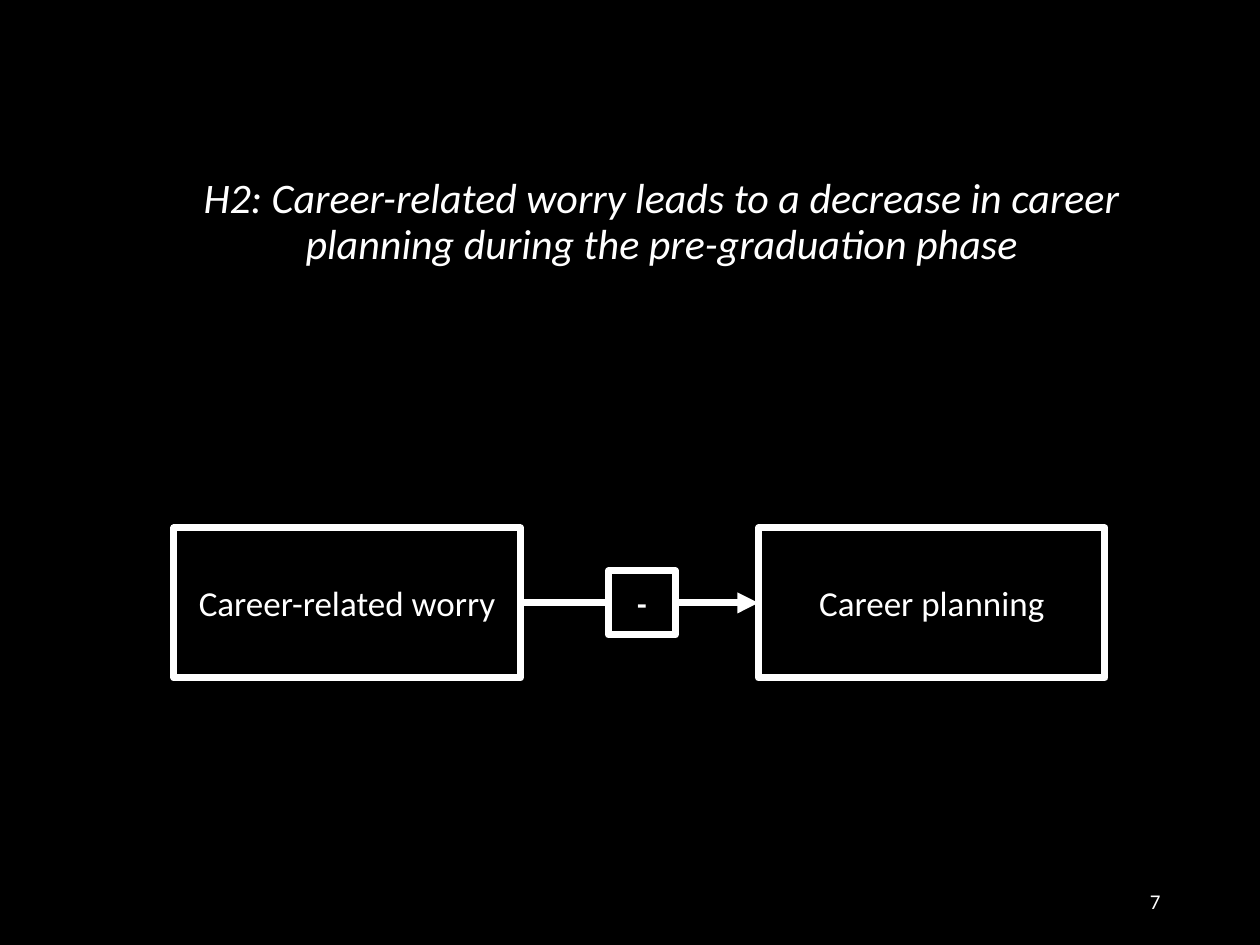
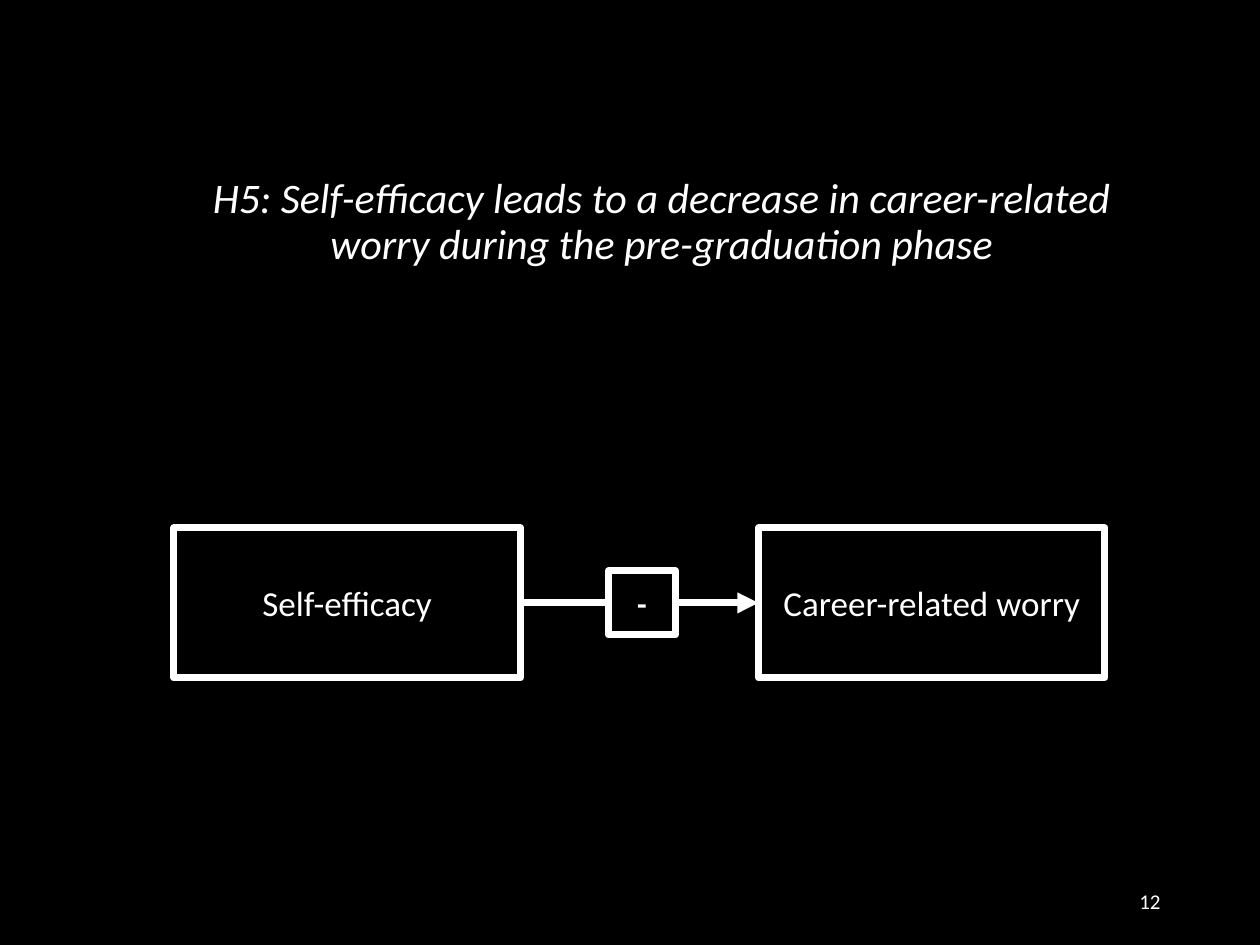
import pptx
import pptx.dml.color
import pptx.enum.shapes
import pptx.enum.text
import pptx.oxml.ns
import pptx.util
from lxml import etree
from pptx.util import Inches

FONT = "Calibri"
BLACK = "000000"
WHITE = "FFFFFF"
LINE_WIDTH = pptx.util.Pt(4)
TITLE_ONLY = 5
ALIGN = pptx.enum.text.PP_ALIGN
ANCHOR = pptx.enum.text.MSO_ANCHOR

TITLE_BOX = (1.19, 1.36, 8.12, 0.9)
DIAGRAM_BOX = (1.38, 4.19, 7.39, 1.19)
NUMBER_BOX = (7.06, 6.95, 2.25, 0.4)
CONCEPT_WIDTH = 2.75
SIGN_LEFT, SIGN_WIDTH, SIGN_HEIGHT = 3.45, 0.53, 0.51

HYPOTHESES = [
    ("H2: Career-related worry leads to a decrease in career planning during the pre-graduation phase",
     "Career-related worry", "Career planning", "-", "7"),
    ("H5: Self-efficacy leads to a decrease in career-related worry during the pre-graduation phase",
     "Self-efficacy", "Career-related worry", "-", "12"),
]


def colour(hex_string):
    """Turn a hex string into a colour."""
    return pptx.dml.color.RGBColor.from_string(hex_string)


def write_text(shape, text, size, align=ALIGN.CENTER, anchor=ANCHOR.MIDDLE, bold=False, italic=False):
    """Put one formatted white paragraph into a shape and return it."""
    frame = shape.text_frame
    frame.text = text
    frame.word_wrap = True
    frame.auto_size = pptx.enum.text.MSO_AUTO_SIZE.NONE
    frame.vertical_anchor = anchor
    paragraph = frame.paragraphs[0]
    paragraph.alignment = align
    font = paragraph.font
    font.name = FONT
    font.size = pptx.util.Pt(size)
    font.bold = bold
    font.italic = italic
    font.color.rgb = colour(WHITE)
    return paragraph


def add_title(slide, text, box):
    """Place the hypothesis in the title placeholder."""
    title = slide.shapes.title
    title.left, title.top, title.width, title.height = map(Inches, box)
    paragraph = write_text(title, text, 24, anchor=ANCHOR.TOP, italic=True)
    paragraph.line_spacing = 0.9


def add_framed_box(slide, text, box, size=20, bold=False):
    """Add a black rectangle with a white frame and centred text."""
    shape = slide.shapes.add_shape(pptx.enum.shapes.MSO_SHAPE.RECTANGLE, *map(Inches, box))
    shape.shadow.inherit = False
    shape.fill.solid()
    shape.fill.fore_color.rgb = colour(BLACK)
    shape.line.color.rgb = colour(WHITE)
    shape.line.width = LINE_WIDTH
    write_text(shape, text, size, bold=bold)
    return shape


def add_arrow(slide, start, end):
    """Join the right side of one box to the left side of another with an arrow."""
    arrow = slide.shapes.add_connector(pptx.enum.shapes.MSO_CONNECTOR.STRAIGHT, 0, 0, 0, 0)
    arrow.begin_connect(start, 3)
    arrow.end_connect(end, 1)
    arrow.line.color.rgb = colour(WHITE)
    arrow.line.width = LINE_WIDTH
    qualified = pptx.oxml.ns.qn
    etree.SubElement(arrow.line._get_or_add_ln(), qualified("a:tailEnd"), type="triangle")
    etree.SubElement(arrow._element.spPr, qualified("a:effectLst"))


def add_diagram(slide, cause, effect, sign, box):
    """Draw cause and effect, the arrow between them and its sign."""
    left, top, width, height = box
    cause_box = add_framed_box(slide, cause, (left, top, CONCEPT_WIDTH, height))
    effect_left = left + width - CONCEPT_WIDTH
    effect_box = add_framed_box(slide, effect, (effect_left, top, CONCEPT_WIDTH, height))
    add_arrow(slide, cause_box, effect_box)
    sign_top = top + (height - SIGN_HEIGHT) / 2
    add_framed_box(slide, sign, (left + SIGN_LEFT, sign_top, SIGN_WIDTH, SIGN_HEIGHT), 18, bold=True)


def add_slide_number(slide, number, box):
    """Write the slide number at the lower right."""
    write_text(slide.shapes.add_textbox(*map(Inches, box)), number, 12, align=ALIGN.RIGHT)


def add_hypothesis_slide(presentation, hypothesis, cause, effect, sign, number):
    """Build one black slide with a hypothesis and its diagram."""
    slide = presentation.slides.add_slide(presentation.slide_layouts[TITLE_ONLY])
    background = slide.background.fill
    background.solid()
    background.fore_color.rgb = colour(BLACK)
    add_title(slide, hypothesis, TITLE_BOX)
    add_diagram(slide, cause, effect, sign, DIAGRAM_BOX)
    add_slide_number(slide, number, NUMBER_BOX)


def main():
    """Build and save the presentation."""
    presentation = pptx.Presentation()
    presentation.slide_width = Inches(10)
    presentation.slide_height = Inches(7.5)
    for hypothesis in HYPOTHESES:
        add_hypothesis_slide(presentation, *hypothesis)
    presentation.save("out.pptx")


if __name__ == "__main__":
    main()
